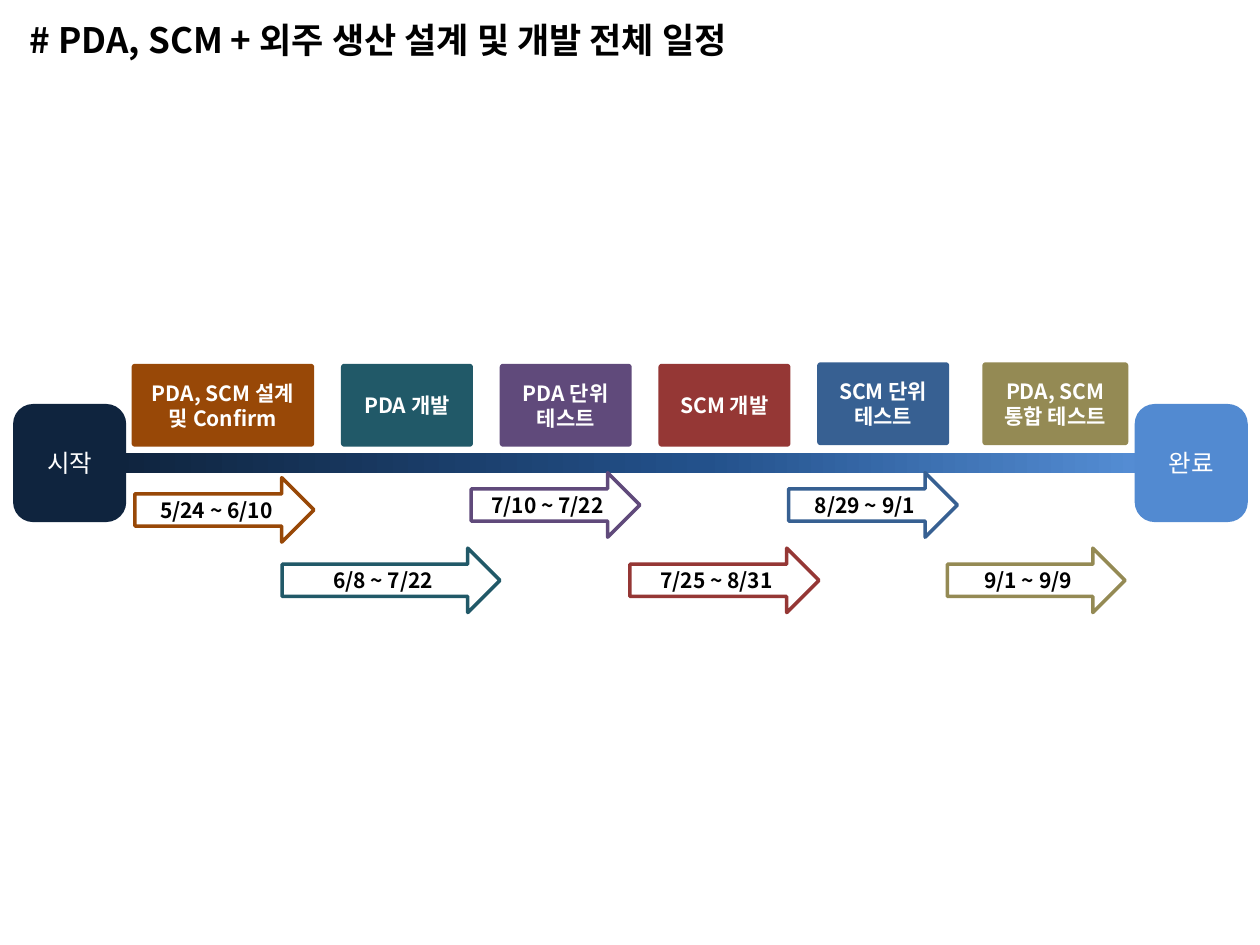
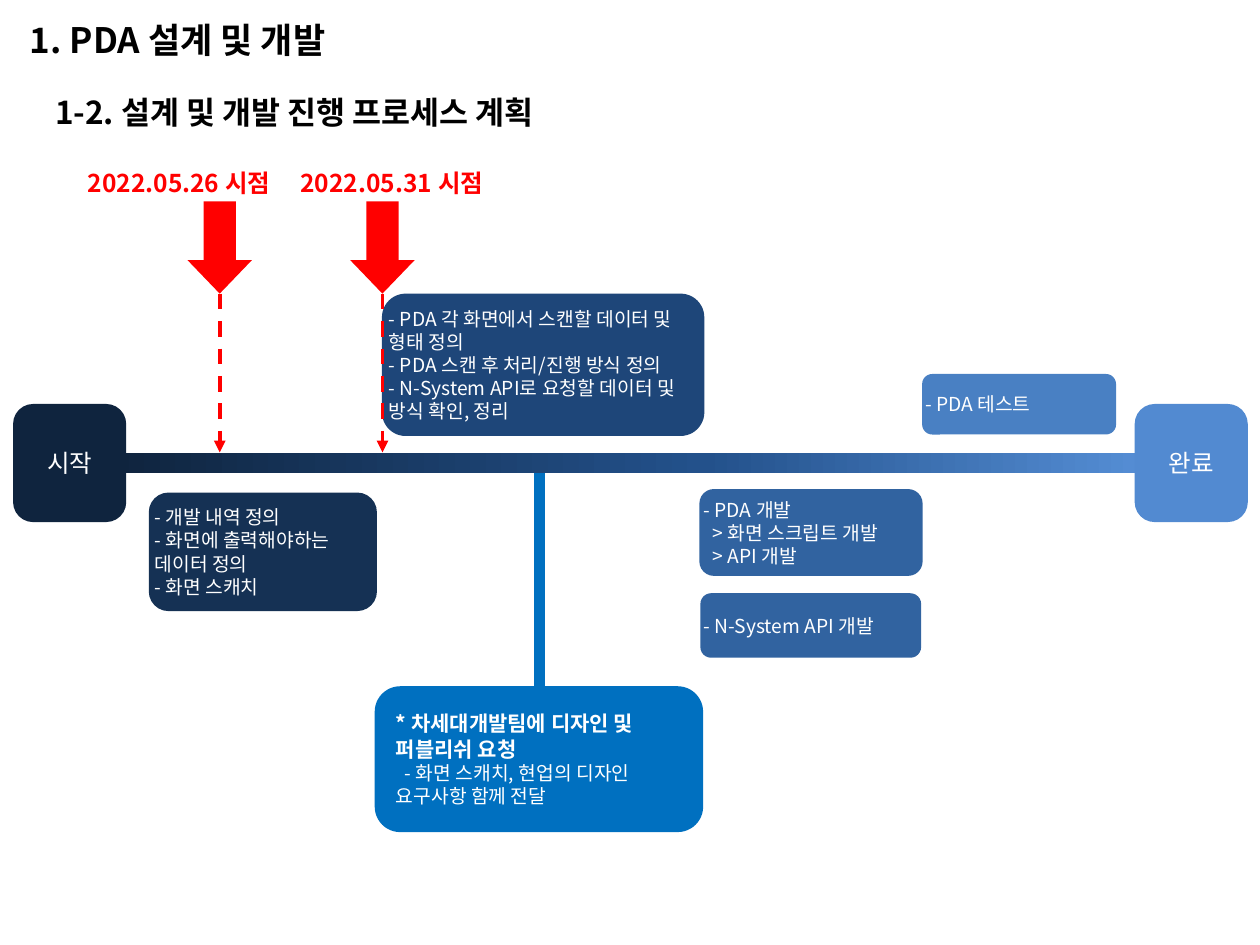
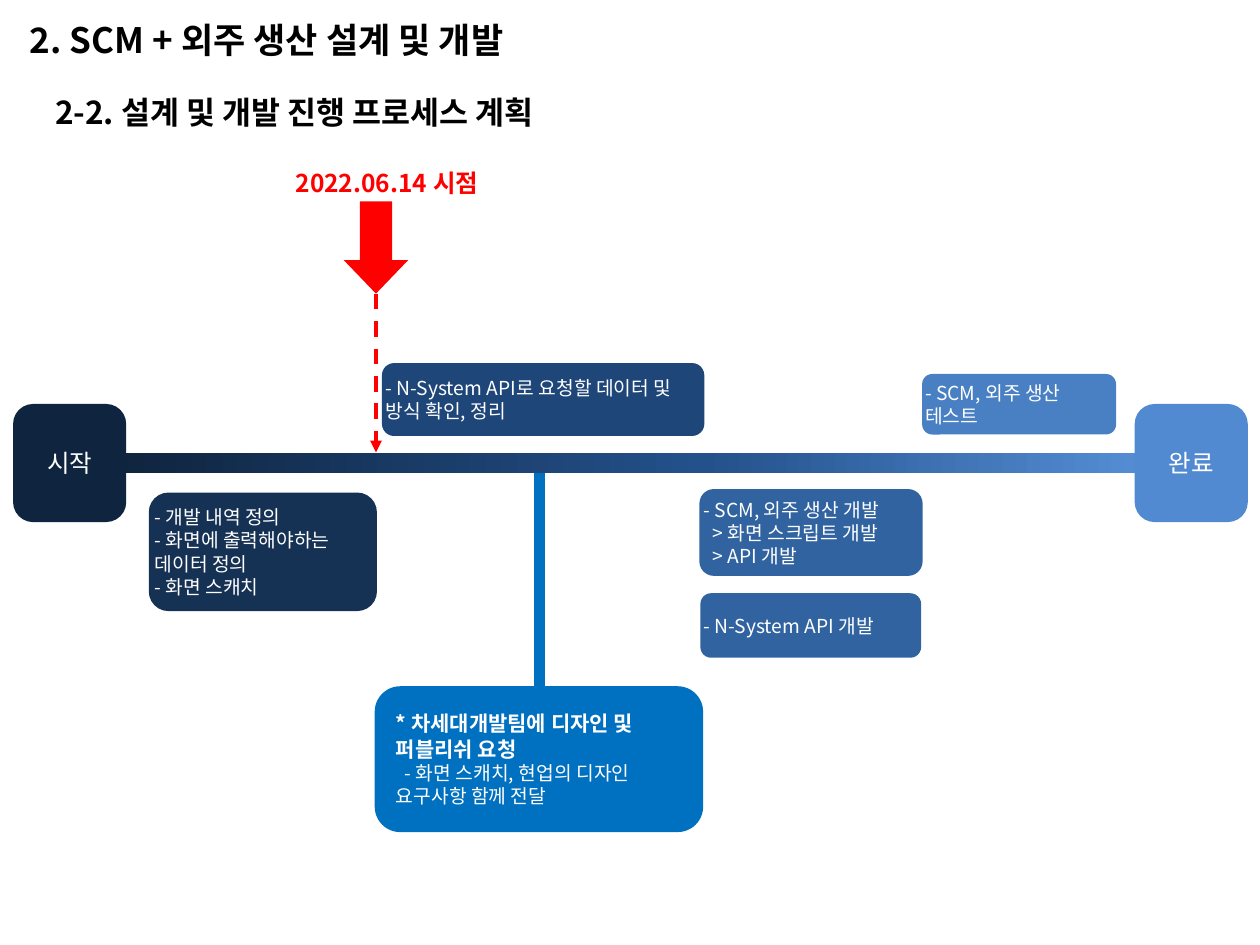
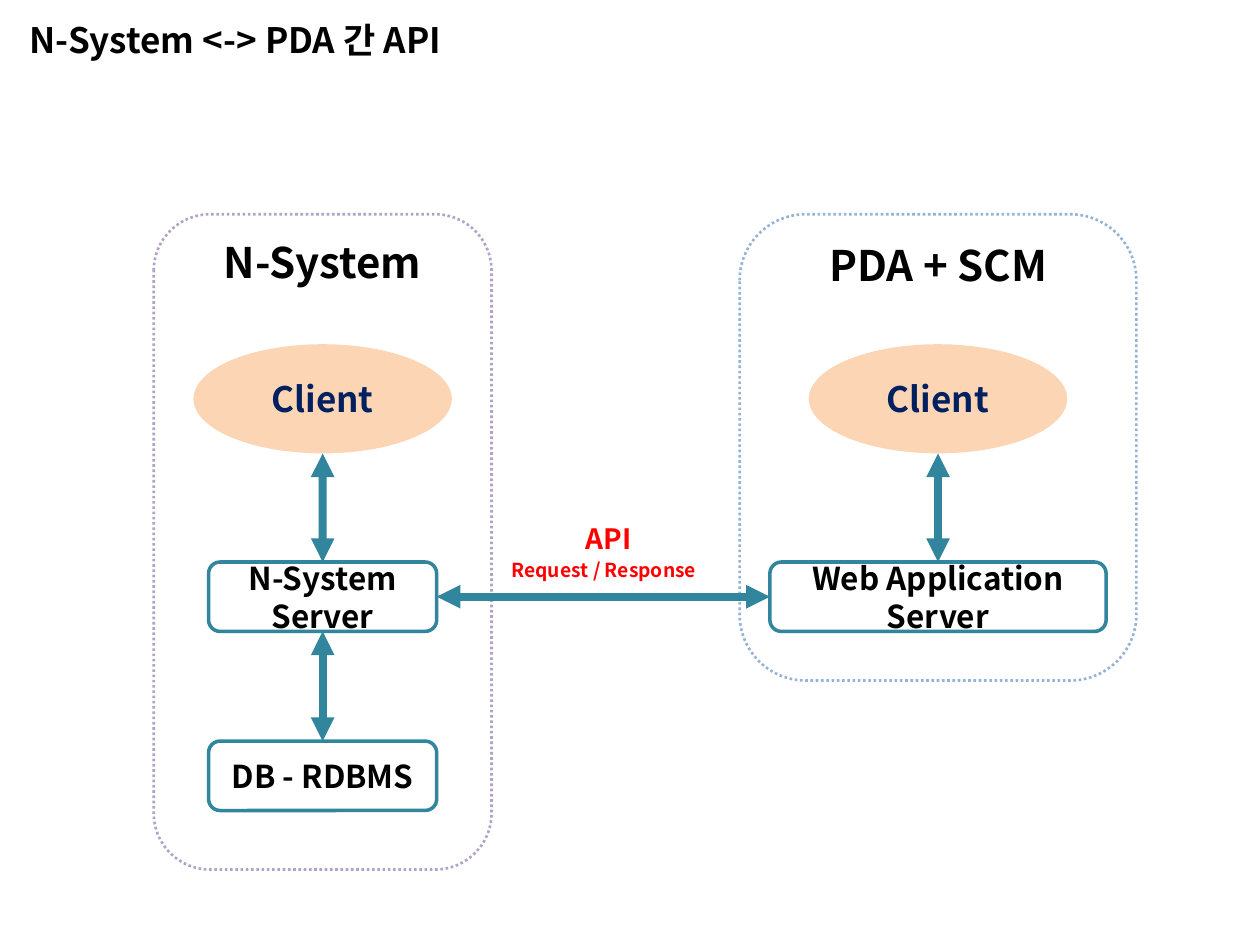
from collections import namedtuple

from lxml.etree import SubElement
from pptx import Presentation
from pptx.dml.color import RGBColor
from pptx.enum.dml import MSO_LINE
from pptx.enum.shapes import MSO_CONNECTOR, MSO_SHAPE
from pptx.enum.text import MSO_ANCHOR, MSO_AUTO_SIZE, PP_ALIGN
from pptx.oxml.ns import qn
from pptx.util import Cm, Pt

# Shared look
FONT = "Noto Sans CJK KR"
BLACK, WHITE, RED = "000000", "FFFFFF", "FF0000"
NAVY, SKY, BRANCH_BLUE = "0F243E", "528AD1", "0070C0"
TEAL, PEACH, INK = "31859C", "FCD5B5", "002060"
BAR_STOPS = ((0, NAVY), (57, "23518B"), (100, "558ED5"))


def font_format(size, color, bold=True):
    return {"size": Pt(size), "bold": bold, "name": FONT}, color


TITLE = font_format(20, BLACK)
SUBTITLE = font_format(18, BLACK)
NODE = font_format(14, WHITE, bold=False)
STAGE = font_format(12, WHITE)
PERIOD = font_format(12, BLACK)
TASK = font_format(11, WHITE, bold=False)
MARKER = font_format(14, RED)
SYSTEM = font_format(24, BLACK)
CLIENT = font_format(20, INK)
SERVER = font_format(18, BLACK)
LINK = font_format(16, RED)
LINK_DETAIL = font_format(11, RED)

CENTER = {"alignment": PP_ALIGN.CENTER}
LEFT = {"alignment": PP_ALIGN.LEFT}
TALL_LEFT = {**LEFT, "line_spacing": 1.5}
TALL_CENTER = {**CENTER, "line_spacing": 1.5}
MIDDLE = {"word_wrap": True, "vertical_anchor": MSO_ANCHOR.MIDDLE}
TOP = {"word_wrap": True, "vertical_anchor": MSO_ANCHOR.TOP}
NO_SIDES = {"margin_left": 0, "margin_right": 0}
NO_MARGINS = {**NO_SIDES, "margin_top": 0, "margin_bottom": 0}

Line = namedtuple("Line", "text indent style", defaults=(0, None))


class Box(namedtuple("Box", "left top width height")):
    """A region in centimetres."""

    def inner(self, left, top, width, height):
        return Box(self.left + left, self.top + top, width, height)

    def centered(self, top, width, height):
        return self.inner((self.width - width) / 2, top, width, height)

    @property
    def lengths(self):
        return [Cm(value) for value in self]


TITLE_BOX = Box(0.3, 0.3, 17.22, 0.99)
SUBTITLE_BOX = Box(0.71, 1.37, 23.01, 1.42)
TIMELINE_BOX = Box(0.3, 8.18, 24.82, 2.31)
STAGES_BOX = Box(2.69, 7.34, 20.02, 5.01)
PLAN_BOX = Box(0, 2.97, 25.4, 13.77)
ERP_BOX = Box(3.1, 4.32, 6.81, 13.21)
WEB_BOX = Box(14.91, 4.32, 8, 9.4)
LINK_BOX = Box(10.31, 10.52, 3.81, 1.21)


# Formatting helpers
def apply(target, values):
    for name, value in values.items():
        setattr(target, name, value)


def paint(fill, color):
    fill.solid()
    fill.fore_color.rgb = RGBColor.from_string(color)


def write(frame, lines, style, paragraph_format=CENTER, frame_format=MIDDLE):
    apply(frame, frame_format)
    for number, line in enumerate(lines):
        line = Line(line) if isinstance(line, str) else line
        paragraph = frame.add_paragraph() if number else frame.paragraphs[0]
        apply(paragraph, paragraph_format)
        if line.indent:
            paragraph._p.get_or_add_pPr().set("indent", str(Cm(line.indent)))
        run = paragraph.add_run()
        run.text = line.text
        values, color = line.style or style
        apply(run.font, values)
        paint(run.font.fill, color)
        SubElement(run._r.get_or_add_rPr(), qn("a:ea"), typeface=FONT)


def add_block(slide, kind, box, fill=None, outline=None, width=2):
    block = slide.shapes.add_shape(kind, *box.lengths)
    block.shadow.inherit = False
    if fill:
        paint(block.fill, fill)
    else:
        block.fill.background()
    if outline:
        paint(block.line.fill, outline)
        block.line.width = Pt(width)
    else:
        block.line.fill.background()
    return block


def add_label(slide, box, text, style, paragraph_format, frame_format):
    label = slide.shapes.add_textbox(*box.lengths)
    write(label.text_frame, [text], style, paragraph_format, frame_format)


def add_arrow(slide, start, end, color, width, ends):
    points = [Cm(value) for value in (*start, *end)]
    arrow = slide.shapes.add_connector(MSO_CONNECTOR.STRAIGHT, *points)
    paint(arrow.line.fill, color)
    arrow.line.width = Pt(width)
    if ends == ("tailEnd",):
        arrow.line.dash_style = MSO_LINE.DASH
    for end_name in ends:
        SubElement(arrow.line._get_or_add_ln(), qn(f"a:{end_name}"), type="triangle")
    SubElement(arrow.element.spPr, qn("a:effectLst"))
    return arrow


def two_way(slide, start, end):
    return add_arrow(slide, start, end, TEAL, 4.5, ("headEnd", "tailEnd"))


# Headings
def add_titled_slide(deck, title, subtitle=None):
    slide = deck.slides.add_slide(deck.slide_layouts[5])
    heading = slide.shapes.title
    apply(heading, dict(zip(("left", "top", "width", "height"), TITLE_BOX.lengths)))
    heading.text_frame.auto_size = MSO_AUTO_SIZE.NONE
    write(heading.text_frame, [title], TITLE, LEFT, {**MIDDLE, "margin_left": Cm(0.3)})
    if subtitle:
        add_label(slide, SUBTITLE_BOX, subtitle, SUBTITLE, TALL_LEFT,
                  {**TOP, "margin_left": Cm(0.4)})
    return slide


# Timeline bar with its start and finish
def draw_timeline(slide, box):
    bar = add_block(slide, MSO_SHAPE.RECTANGLE, box.centered(0.95, 20.85, 0.41))
    bar.fill.gradient()
    bar.fill.gradient_angle = 0
    stops = bar.element.spPr.find(qn("a:gradFill")).find(qn("a:gsLst"))
    for stop in list(stops):
        stops.remove(stop)
    for percent, color in BAR_STOPS:
        stop = SubElement(stops, qn("a:gs"), pos=str(percent * 1000))
        SubElement(stop, qn("a:srgbClr"), val=color)

    node_width = 2.21
    for left, text, color in ((0, "시작", NAVY), (box.width - node_width, "완료", SKY)):
        node = add_block(slide, MSO_SHAPE.ROUNDED_RECTANGLE,
                         box.inner(left, 0, node_width, box.height), color, color)
        write(node.text_frame, [text], NODE)


# Overall schedule: a stage card and a period arrow in each colour
STAGES = (
    # colour, card lines, card left, top, width, period, arrow left, top, width
    ("984807", ["PDA, SCM 설계 및 Confirm"], 0, 0.03, 3.61, "5/24 ~ 6/10", 0.03, 2.29, 3.61),
    ("215968", ["PDA 개발"], 4.22, 0.03, 2.59, "6/8 ~ 7/22", 3, 3.71, 4.39),
    ("604A7B", ["PDA 단위", "테스트"], 7.42, 0.03, 2.59, "7/10 ~ 7/22", 6.81, 2.19, 3.4),
    ("953735", ["SCM 개발"], 10.62, 0.03, 2.59, "7/25 ~ 8/31", 10.01, 3.71, 3.81),
    ("376092", ["SCM 단위 테스트"], 13.82, 0, 2.59, "8/29 ~ 9/1", 13.21, 2.19, 3.4),
    ("948A54", ["PDA, SCM 통합 테스트"], 17.15, 0, 2.87, "9/1 ~ 9/9", 16.41, 3.71, 3.58),
)


def draw_stages(slide, box):
    for (color, lines, card_left, card_top, card_width,
         period, arrow_left, arrow_top, arrow_width) in STAGES:
        card = add_block(slide, MSO_SHAPE.ROUNDED_RECTANGLE,
                         box.inner(card_left, card_top, card_width, 1.6), color, color)
        card.adjustments[0] = 0.02
        write(card.text_frame, lines, STAGE)

        arrow = add_block(slide, MSO_SHAPE.RIGHT_ARROW,
                          box.inner(arrow_left, arrow_top, arrow_width, 1.3), WHITE, color)
        white = arrow.element.spPr.find(qn("a:solidFill"))[0]
        SubElement(white, qn("a:alpha"), val="50000")
        write(arrow.text_frame, [period], PERIOD)


# Process plan: tasks around the timeline, a design request and date markers
API_DATA = "- N-System API로 요청할 데이터 및 방식 확인, 정리"
DEFINITION_TASK = ("153154", (3, 6.96, 4.6, 2.39),
                   ["- 개발 내역 정의", "- 화면에 출력해야하는 데이터 정의", "- 화면 스캐치"])
API_TASK = ("3163A0", (14.12, 8.99, 4.45, 1.3), ["- N-System API 개발"])
REQUEST = ["* 차세대개발팀에 디자인 및 퍼블리쉬 요청",
           Line("- 화면 스캐치, 현업의 디자인 요구사항 함께 전달", 0.18, TASK)]


def plan_tasks(target, data_place, data_lines):
    development = [f"- {target} 개발", Line("> 화면 스크립트 개발", 0.18),
                   Line("> API 개발", 0.18)]
    return (
        DEFINITION_TASK,
        ("1E4679", data_place, data_lines),
        ("3163A0", (14.1, 6.89, 4.5, 1.75), development),
        API_TASK,
        ("4980C3", (18.59, 4.57, 3.91, 1.22), [f"- {target} 테스트"]),
    )


def draw_marker(slide, box, date, center, label_center):
    arrow = add_block(slide, MSO_SHAPE.DOWN_ARROW,
                      box.inner(center - 0.65, 1.09, 1.3, 1.86), RED)
    arrow.adjustments[1] = 0.52
    x = box.left + center
    drop = add_arrow(slide, (x, box.top + 2.95), (x, box.top + 6.15), RED, 2.25, ("tailEnd",))
    drop.begin_connect(arrow, 2)
    add_label(slide, box.inner(label_center - 2.21, 0, 4.42, 1.14), f"{date} 시점",
              MARKER, TALL_CENTER, MIDDLE)


def draw_plan(slide, box, tasks, markers):
    add_block(slide, MSO_SHAPE.RECTANGLE, box.inner(10.8, 6.48, 0.15, 4.72),
              BRANCH_BLUE, BRANCH_BLUE)
    draw_timeline(slide, TIMELINE_BOX)
    for color, place, lines in tasks:
        task = add_block(slide, MSO_SHAPE.ROUNDED_RECTANGLE, box.inner(*place), color)
        write(task.text_frame, lines, TASK, LEFT, {**MIDDLE, **NO_SIDES})
    request = add_block(slide, MSO_SHAPE.ROUNDED_RECTANGLE, box.inner(7.59, 10.9, 6.55, 2.87),
                        BRANCH_BLUE, BRANCH_BLUE)
    write(request.text_frame, REQUEST, STAGE, LEFT)
    for marker in markers:
        draw_marker(slide, box, *marker)


# API diagram: one framed system with its client and servers
def draw_system(slide, box, name, frame_color, server_width, servers):
    frame = add_block(slide, MSO_SHAPE.ROUNDED_RECTANGLE, box, outline=frame_color, width=1.5)
    frame.line.dash_style = MSO_LINE.ROUND_DOT
    write(frame.text_frame, [name], SYSTEM, CENTER, TOP)

    client = add_block(slide, MSO_SHAPE.OVAL, box.centered(2.62, 5.21, 2.2), PEACH)
    write(client.text_frame, ["Client"], CLIENT)

    x = box.left + box.width / 2
    boxes = []
    for number, lines in enumerate(servers):
        place = box.centered(7.01 + 3.61 * number, server_width, 1.4)
        server = add_block(slide, MSO_SHAPE.ROUNDED_RECTANGLE, place, outline=TEAL)
        write(server.text_frame, lines, SERVER)
        link = two_way(slide, (x, place.top - 2.19), (x, place.top))
        if boxes:
            link.begin_connect(boxes[-1], 2)
        link.end_connect(server, 0)
        boxes.append(server)
    return boxes[0]


def draw_link(slide, box, erp_server, web_server):
    y = box.top + 1.5
    link = two_way(slide, (box.left + box.width, y), (box.left, y))
    link.begin_connect(web_server, 1)
    link.end_connect(erp_server, 3)
    for place, text, style in (
        (box.inner(1.5, 0, 1.04, 0.69), "API", LINK),
        (box.inner(0, 0.73, box.width, 0.48), "Request / Response", LINK_DETAIL),
    ):
        add_label(slide, place, text, style, LEFT, {**NO_MARGINS, "word_wrap": False})


def main():
    deck = Presentation()
    deck.slide_width, deck.slide_height = Cm(25.4), Cm(19.05)

    schedule = add_titled_slide(deck, "# PDA, SCM + 외주 생산 설계 및 개발 전체 일정")
    draw_timeline(schedule, TIMELINE_BOX)
    draw_stages(schedule, STAGES_BOX)

    pda_plan = add_titled_slide(deck, "1. PDA 설계 및 개발",
                                "1-2. 설계 및 개발 진행 프로세스 계획")
    pda_data = ["- PDA 각 화면에서 스캔할 데이터 및 형태 정의",
                "- PDA 스캔 후 처리/진행 방식 정의", API_DATA]
    draw_plan(pda_plan, PLAN_BOX, plan_tasks("PDA", (7.7, 2.95, 6.5, 2.87), pda_data),
              (("2022.05.26", 4.43, 3.61), ("2022.05.31", 7.71, 7.9)))

    scm_plan = add_titled_slide(deck, "2. SCM + 외주 생산 설계 및 개발",
                                "2-2. 설계 및 개발 진행 프로세스 계획")
    draw_plan(scm_plan, PLAN_BOX,
              plan_tasks("SCM, 외주 생산", (7.7, 4.35, 6.5, 1.47), [API_DATA]),
              (("2022.06.14", 7.58, 7.8),))

    api = add_titled_slide(deck, "N-System <-> PDA 간 API")
    erp_server = draw_system(api, ERP_BOX, "N-System", "B3A2C7", 4.6,
                             (["N-System", "Server"], ["DB - RDBMS"]))
    web_server = draw_system(api, WEB_BOX, "PDA + SCM", "95B3D7", 6.78,
                             (["Web Application Server"],))
    draw_link(api, LINK_BOX, erp_server, web_server)

    deck.save("out.pptx")


if __name__ == "__main__":
    main()
